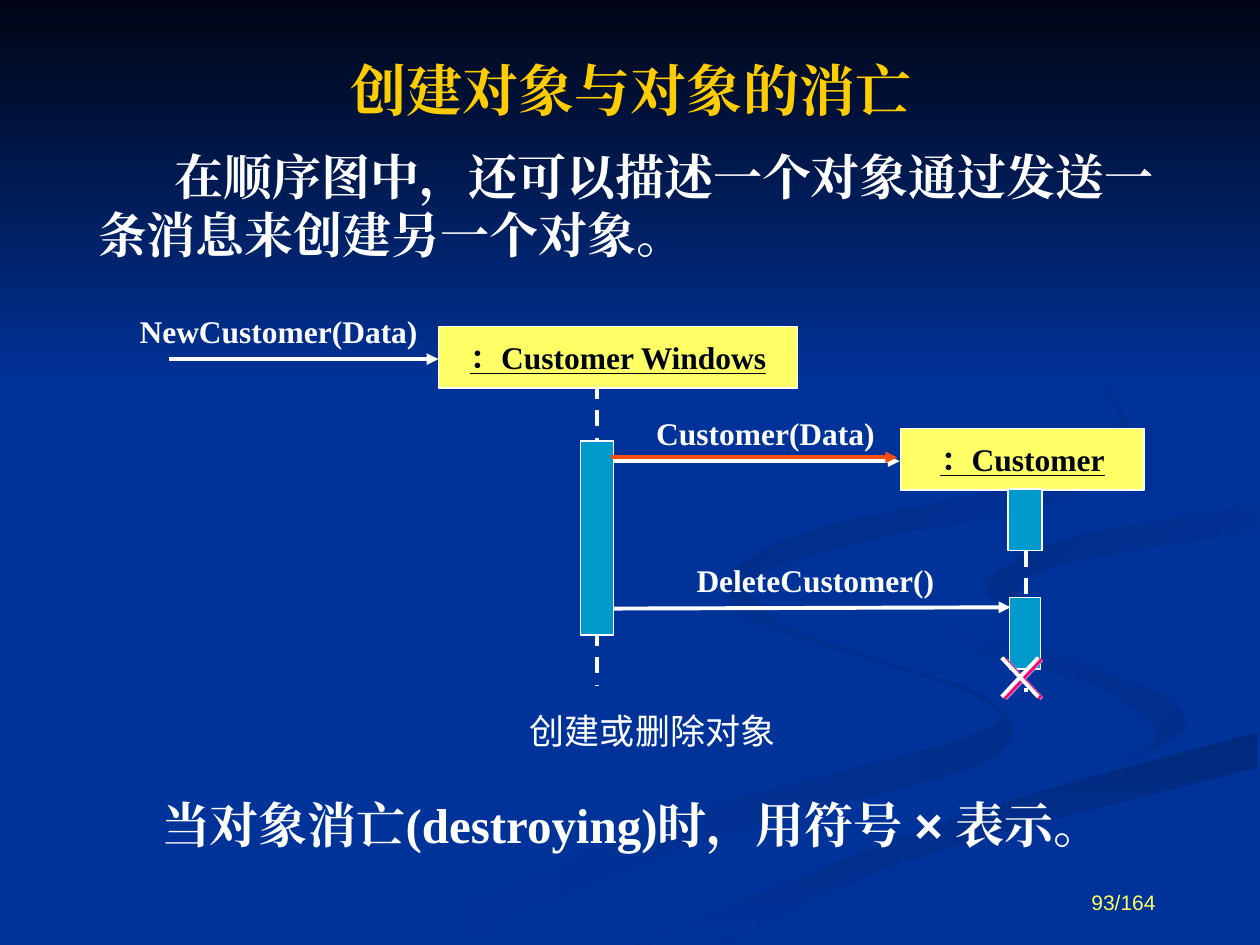
from pptx import Presentation
from pptx.util import Inches, Pt
from pptx.dml.color import RGBColor
from pptx.enum.dml import MSO_LINE
from pptx.enum.shapes import MSO_SHAPE as SHAPE, MSO_CONNECTOR as CONN
from pptx.enum.text import PP_ALIGN as AL, MSO_ANCHOR as ANC
from pptx.oxml.xmlchemy import OxmlElement as Element


class Theme:
    bg, night, white = "003399", "000514", "FFFFFF"
    gold, box, bar, hot = "FFCC00", "FFFF66", "0099CC", "F84E12"
    serif, sans, cjk = "Times New Roman", "Arial", "Noto Sans CJK SC"
    title, body, caption, label, page = 32, 28, 20, 18, 12
    line, edge = 2.25, 0.75


# Background ribbons: start colour, end colour, angle, smooth edges of the outline
RIBBONS = [
    (Theme.bg, "002E8B", 0, [
        [(5.75, 4.59), (5.93, 4.91), (6.97, 5.25), (7.76, 5.53), (7.74, 5.83), (5.39, 6.49), (3, 7.49)],
        [(3.61, 7.49), (5.64, 6.65), (7.8, 6.05), (7.86, 5.56), (6.82, 5.19), (5.94, 4.85), (5.75, 4.59)]]),
    (Theme.bg, "002E8B", 45, [
        [(7.24, 4.64), (7.66, 5.12), (8.68, 5.44), (9.18, 5.81), (8.94, 6.05)],
        [(8.94, 6.05), (9.43, 5.7), (8.7, 5.3), (7.58, 4.98), (7.24, 4.64)]]),
    ("002A7D", Theme.bg, 90, [
        [(5.03, 7.49), (5.71, 7.49), (7.22, 6.82), (9.98, 6.09)],
        [(9.98, 5.81), (7.64, 6.47), (5.03, 7.49)]]),
    (Theme.bg, Theme.bg, 0, [
        [(7.25, 4.64), (7.59, 4.98), (9.05, 5.4), (9.26, 5.93), (7.04, 6.55), (4.77, 7.49)],
        [(5.03, 7.49), (7.65, 6.47), (9.99, 5.81)],
        [(9.99, 5.38), (8.17, 4.92), (7.92, 4.47), (9.99, 4.02)],
        [(9.99, 3.87), (8.08, 4.17), (7.25, 4.64)]]),
    ("002D86", Theme.bg, 45, [
        [(7.81, 4.6), (7.91, 4.78), (8.26, 4.96)],
        [(8.26, 4.96), (8.05, 4.72), (8.43, 4.48), (9.98, 4.2)],
        [(9.98, 4.02), (8.49, 4.27), (7.81, 4.6)]]),
    ("002B82", Theme.bg, 45, [
        [(7.62, 2.33), (8.55, 2.85), (8.89, 3.35), (8.42, 3.78), (6.49, 4.2), (5.77, 4.62), (6.22, 5)],
        [(6.22, 5), (5.96, 4.61), (6.83, 4.3), (8.55, 3.91), (8.9, 3.24), (7.62, 2.33)]]),
    (Theme.night, Theme.bg, 90, [[(0, 0), (0, 3.08)], [(10, 3.08), (10, 0)]]),
]
CURVE_STEPS = 6

# Sequence diagram: rectangles as (left, top, width, height)
OBJECTS = [("：Customer Windows", (3.48, 2.59, 2.85, 0.49)), ("：Customer", (7.15, 3.4, 1.93, 0.49))]
ACTIVATIONS = [(4.61, 3.5, 0.26, 1.54), (8, 3.88, 0.27, 0.49), (8.01, 4.74, 0.25, 0.57)]
LIFELINES = [(4.74, 3.04, 4.74, 5.44), (8.14, 3.72, 8.14, 5.49)]
MESSAGES = [  # label, label box, arrow
    ("NewCustomer(Data)", (1.01, 2.43, 2.9, 0.4), (1.34, 2.85, 3.48, 2.85)),
    ("Customer(Data)", (5.11, 3.24, 2.76, 0.4), (4.87, 3.66, 7.14, 3.66)),
    ("DeleteCustomer()", (5.43, 4.4, 2.74, 0.4), (4.87, 4.83, 8.02, 4.82)),
]
HIGHLIGHT = (4.85, 3.63, 7.12, 3.63)
CROSS = (7.95, 5.22, 8.24, 5.53)
CROSS_LAYERS = [("A886E0", 0.03), (Theme.box, 0.01), ("FF0066", 0.02), (Theme.white, 0)]

INTRO = ["在顺序图中，还可以描述一个对象通过发送一条消息来创建另一个对象。"]
ENDING = ["当对象消亡(destroying)时，用符号 ", "×", " 表示。"]


def rgb(value):
    return RGBColor.from_string(value)


def write(tf, runs, size, color, font=Theme.serif, bold=True, align=AL.LEFT,
          anchor=ANC.TOP, indent=0, underline=False, wrap=True):
    tf.word_wrap, tf.vertical_anchor = wrap, anchor
    p = tf.paragraphs[0]
    p.alignment = align
    if indent:
        p._p.get_or_add_pPr().set("indent", str(Inches(indent)))
    for text in runs:
        r = p.add_run()
        r.text = text
        f = r.font
        f.size, f.bold, f.underline = Pt(size), bold, underline
        f.color.rgb = rgb(color)
        f.name = Theme.sans if text == "×" else font
        ea = Element("a:ea")
        ea.set("typeface", font)
        r._r.get_or_add_rPr().append(ea)


def add_text(s, area, runs, size, color=Theme.white, **style):
    write(s.shapes.add_textbox(*map(Inches, area)).text_frame, runs, size, color, **style)


def add_rect(s, area, fill):
    sp = s.shapes.add_shape(SHAPE.RECTANGLE, *map(Inches, area))
    sp.shadow.inherit = False
    sp.fill.solid()
    sp.fill.fore_color.rgb = rgb(fill)
    sp.line.color.rgb = rgb(Theme.white)
    sp.line.width = Pt(Theme.edge)
    return sp


def add_line(s, ends, color=Theme.white, arrow=False, dashed=False):
    c = s.shapes.add_connector(CONN.STRAIGHT, *map(Inches, ends))
    c.line.color.rgb = rgb(color)
    c.line.width = Pt(Theme.line)
    if dashed:
        c.line.dash_style = MSO_LINE.DASH
    if arrow:
        tail = Element("a:tailEnd")
        tail.set("type", "triangle")
        c.line._get_or_add_ln().append(tail)
    c._element.spPr.append(Element("a:effectLst"))


def smooth(edge):
    """Points of a Catmull-Rom curve through the edge."""
    if len(edge) == 2:
        return edge
    padded = [edge[0], *edge, edge[-1]]
    curve = []
    for quad in zip(padded, padded[1:], padded[2:], padded[3:]):
        for t in (step / CURVE_STEPS for step in range(CURVE_STEPS)):
            curve.append(tuple(
                b + t * (c - a) / 2 + t**2 * (a - 2.5 * b + 2 * c - d / 2)
                + t**3 * (1.5 * (b - c) + (d - a) / 2)
                for a, b, c, d in zip(*quad)))
    return curve + [edge[-1]]


def add_ribbon(s, start, end, angle, edges):
    pts = [(Inches(x), Inches(y)) for edge in edges for x, y in smooth(edge)]
    fb = s.shapes.build_freeform(*pts[0])
    fb.add_line_segments(pts[1:], close=True)
    sp = fb.convert_to_shape()
    sp.shadow.inherit = False
    sp.line.fill.background()
    sp.fill.gradient()
    sp.fill.gradient_angle = (360 - angle) % 360
    for stop, color in zip(sp.fill.gradient_stops, (start, end)):
        stop.color.rgb = rgb(color)


def main():
    prs = Presentation()
    prs.slide_width, prs.slide_height = Inches(10), Inches(7.5)
    s = prs.slides.add_slide(prs.slide_layouts[6])
    s.background.fill.solid()
    s.background.fill.fore_color.rgb = rgb(Theme.bg)
    for ribbon in RIBBONS:
        add_ribbon(s, *ribbon)

    # Title and body text
    add_text(s, (0.76, 0.38, 8.5, 0.66), ["创建对象与对象的消亡"], Theme.title, Theme.gold,
             align=AL.CENTER, anchor=ANC.MIDDLE)
    add_text(s, (0.68, 1.11, 8.78, 1.04), INTRO, Theme.body, indent=0.61)
    add_text(s, (0.85, 6.26, 8.44, 1.04), ENDING, Theme.body, indent=0.33)

    # Lifelines, objects and activations
    for ends in LIFELINES:
        add_line(s, ends, dashed=True)
    for name, area in OBJECTS:
        write(add_rect(s, area, Theme.box).text_frame, [name], Theme.label, Theme.night,
              align=AL.CENTER, anchor=ANC.MIDDLE, underline=True, wrap=False)
    for area in ACTIVATIONS:
        add_rect(s, area, Theme.bar)

    # Messages
    for label, area, ends in MESSAGES:
        add_line(s, ends, arrow=True)
        add_text(s, area, [label], Theme.label)
    add_line(s, HIGHLIGHT, Theme.hot, arrow=True)

    # Destruction cross, layered with small offsets
    x1, y1, x2, y2 = CROSS
    for color, d in CROSS_LAYERS:
        add_line(s, (x2 + d, y1 + d / 2, x1 + d, y2 + d / 2), color)
        add_line(s, (x1 + d, y1 + d / 2, x2 + d, y2 + d / 2), color)

    # Caption and page number
    add_text(s, (3.71, 5.49, 2.94, 0.62), ["创建或删除对象"], Theme.caption, font=Theme.cjk,
             bold=False, align=AL.CENTER, anchor=ANC.MIDDLE)
    add_text(s, (6.94, 6.79, 2.33, 0.52), ["93/164"], Theme.page, Theme.box, font=Theme.sans,
             bold=False, align=AL.RIGHT, anchor=ANC.BOTTOM)
    prs.save("out.pptx")


if __name__ == "__main__":
    main()
